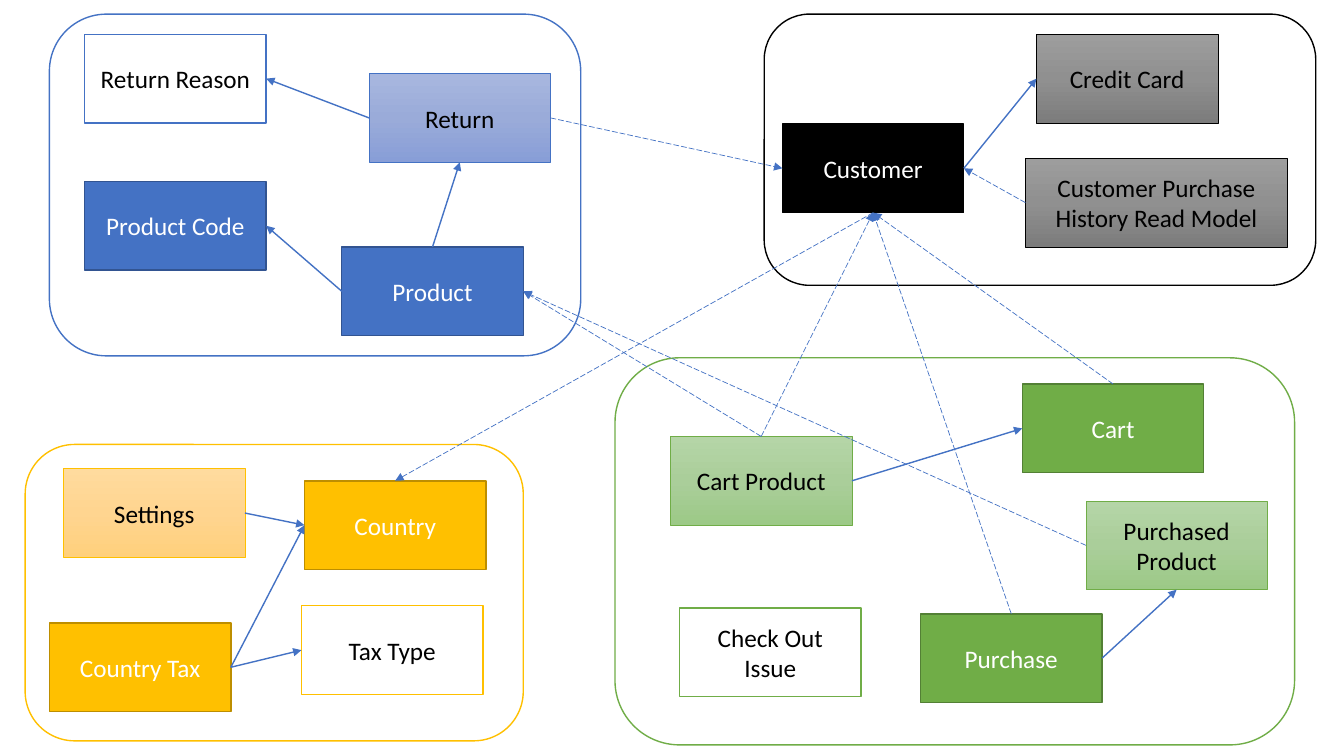
import copy

import pptx
import pptx.dml.color
import pptx.enum.dml
import pptx.enum.shapes
import pptx.enum.text
import pptx.oxml.ns
import pptx.util
from lxml import etree

COLORS = {
    "white": "FFFFFF", "black": "000000", "arrow": "4472C4",
    "blue": "4472C4", "blue_edge": "325491", "blue_tint": ["A8B7DF", "9AABD9", "889ED7"],
    "green": "70AD47", "green_edge": "538035", "green_tint": ["B5D5A7", "AACE9A", "9CC987"],
    "gold": "FFC000", "gold_edge": "BD8E00", "gold_tint": ["FFDB9E", "FFD590", "FFD07C"],
    "black_edge": "000000", "black_tint": ["9D9D9D", "909090", "7C7C7C"],
}
SHAPE = pptx.enum.shapes.MSO_SHAPE
TOP, LEFT, BOTTOM, RIGHT = range(4)
WIDTH, HEIGHT = pptx.util.Inches(13.33), pptx.util.Inches(7.5)
COLUMN, ROW = WIDTH / 133.3, HEIGHT / 75
ENTITY_COLUMNS, ENTITY_ROWS = 18, 8.8

CONTEXTS = [
    ("green", (61, 35.5, 67.4, 38.4), [
        ("Purchase", "solid", 30.3, 25.4),
        ("Purchased Product", "tint", 46.7, 14.2),
        ("Cart", "solid", 40.4, 2.6),
        ("Cart Product", "tint", 5.5, 7.8),
        ("Check Out Issue", "outline", 6.4, 24.8)]),
    ("black", (75.8, 1.4, 54.7, 26.9), [
        ("Customer", "solid", 1.8, 10.9),
        ("Credit Card", "tint", 27, 2),
        ("Customer Purchase History Read Model", "tint", 25.9, 14.3, 26)]),
    ("gold", (2.5, 44.1, 49.4, 29.4), [
        ("Country Tax", "solid", 2.4, 17.7),
        ("Tax Type", "outline", 27.4, 16),
        ("Settings", "tint", 3.8, 2.4),
        ("Country", "solid", 27.7, 3.6)]),
    ("blue", (4.9, 1.4, 52.7, 33.9), [
        ("Product", "solid", 29, 23.1),
        ("Product Code", "solid", 3.5, 16.6),
        ("Return", "tint", 31.7, 5.9),
        ("Return Reason", "outline", 3.5, 2)]),
]
ACROSS_CONTEXTS = [
    ("Return", RIGHT, "Customer", LEFT),
    ("Customer", BOTTOM, "Country", TOP),
    ("Cart", TOP, "Customer", BOTTOM),
    ("Cart Product", TOP, "Customer", BOTTOM),
    ("Cart Product", TOP, "Product", RIGHT),
    ("Purchase", TOP, "Customer", BOTTOM),
    ("Purchased Product", LEFT, "Product", RIGHT),
    ("Customer Purchase History Read Model", LEFT, "Customer", RIGHT),
]
WITHIN_CONTEXT = [
    ("Customer", RIGHT, "Credit Card", LEFT),
    ("Cart Product", RIGHT, "Cart", LEFT),
    ("Purchase", RIGHT, "Purchased Product", BOTTOM),
    ("Product", TOP, "Return", BOTTOM),
    ("Product", LEFT, "Product Code", RIGHT),
    ("Return", LEFT, "Return Reason", RIGHT),
    ("Country Tax", RIGHT, "Country", LEFT),
    ("Country Tax", RIGHT, "Tax Type", LEFT),
    ("Settings", RIGHT, "Country", LEFT),
]


def rgb(name):
    return pptx.dml.color.RGBColor.from_string(COLORS.get(name, name))


def add_box(page, kind, frame, fill, edge, weight):
    left, top, columns, rows = frame
    box = page.shapes.add_shape(kind, round(left * COLUMN), round(top * ROW),
                                round(columns * COLUMN), round(rows * ROW))
    box.shadow.inherit = False
    box.line.color.rgb = rgb(edge)
    box.line.width = pptx.util.Pt(weight)
    if isinstance(COLORS[fill], list):
        fill_gradient(box, COLORS[fill])
    else:
        box.fill.solid()
        box.fill.fore_color.rgb = rgb(fill)
    return box


def fill_gradient(box, shades):
    box.fill.gradient()
    box.fill.gradient_angle = 270
    stops = box._element.spPr.find(".//" + pptx.oxml.ns.qn("a:gsLst"))
    stops.insert(1, copy.deepcopy(stops[0]))
    for stop, shade, position in zip(box.fill.gradient_stops, shades, (0, 0.5, 1)):
        stop.color.rgb = rgb(shade)
        stop.position = position


def add_entity(page, frame, label, style, hue):
    fill, edge, weight, ink = {
        "solid": (hue, hue + "_edge", 1, "white"),
        "tint": (hue + "_tint", hue, 0.5, "black"),
        "outline": ("white", hue, 1, "black"),
    }[style]
    box = add_box(page, SHAPE.RECTANGLE, frame, fill, edge, weight)
    box.text_frame.word_wrap = True
    box.text_frame.vertical_anchor = pptx.enum.text.MSO_ANCHOR.MIDDLE
    para = box.text_frame.paragraphs[0]
    para.alignment = pptx.enum.text.PP_ALIGN.CENTER
    span = para.add_run()
    span.text = label
    span.font.name = "Calibri"
    span.font.size = pptx.util.Pt(18)
    span.font.color.rgb = rgb(ink)
    return box


def draw_context(page, frame, hue, entities):
    add_box(page, SHAPE.ROUNDED_RECTANGLE, frame, "white", hue, 1)
    boxes = {}
    for label, style, column, row, *width in entities:
        columns = width[0] if width else ENTITY_COLUMNS
        place = (frame[0] + column, frame[1] + row, columns, ENTITY_ROWS)
        boxes[label] = add_entity(page, place, label, style, hue)
    return boxes


def draw_arrows(page, boxes, relations, weight, dash=None):
    for source, source_side, target, target_side in relations:
        arrow = page.shapes.add_connector(
            pptx.enum.shapes.MSO_CONNECTOR.STRAIGHT, 0, 0, 0, 0)
        arrow.begin_connect(boxes[source], source_side)
        arrow.end_connect(boxes[target], target_side)
        arrow.line.color.rgb = rgb("arrow")
        arrow.line.width = pptx.util.Pt(weight)
        if dash:
            arrow.line.dash_style = dash
        properties = arrow._element.spPr
        line = properties.find(pptx.oxml.ns.qn("a:ln"))
        etree.SubElement(line, pptx.oxml.ns.qn("a:tailEnd"), type="triangle")
        etree.SubElement(properties, pptx.oxml.ns.qn("a:effectLst"))


def draw_context_map(page):
    boxes = {}
    for hue, frame, entities in CONTEXTS:
        boxes.update(draw_context(page, frame, hue, entities))
    draw_arrows(page, boxes, ACROSS_CONTEXTS, 0.5,
                pptx.enum.dml.MSO_LINE.LONG_DASH)
    draw_arrows(page, boxes, WITHIN_CONTEXT, 1)


deck = pptx.Presentation()
deck.slide_width, deck.slide_height = WIDTH, HEIGHT
draw_context_map(deck.slides.add_slide(deck.slide_layouts[6]))
deck.save("out.pptx")
